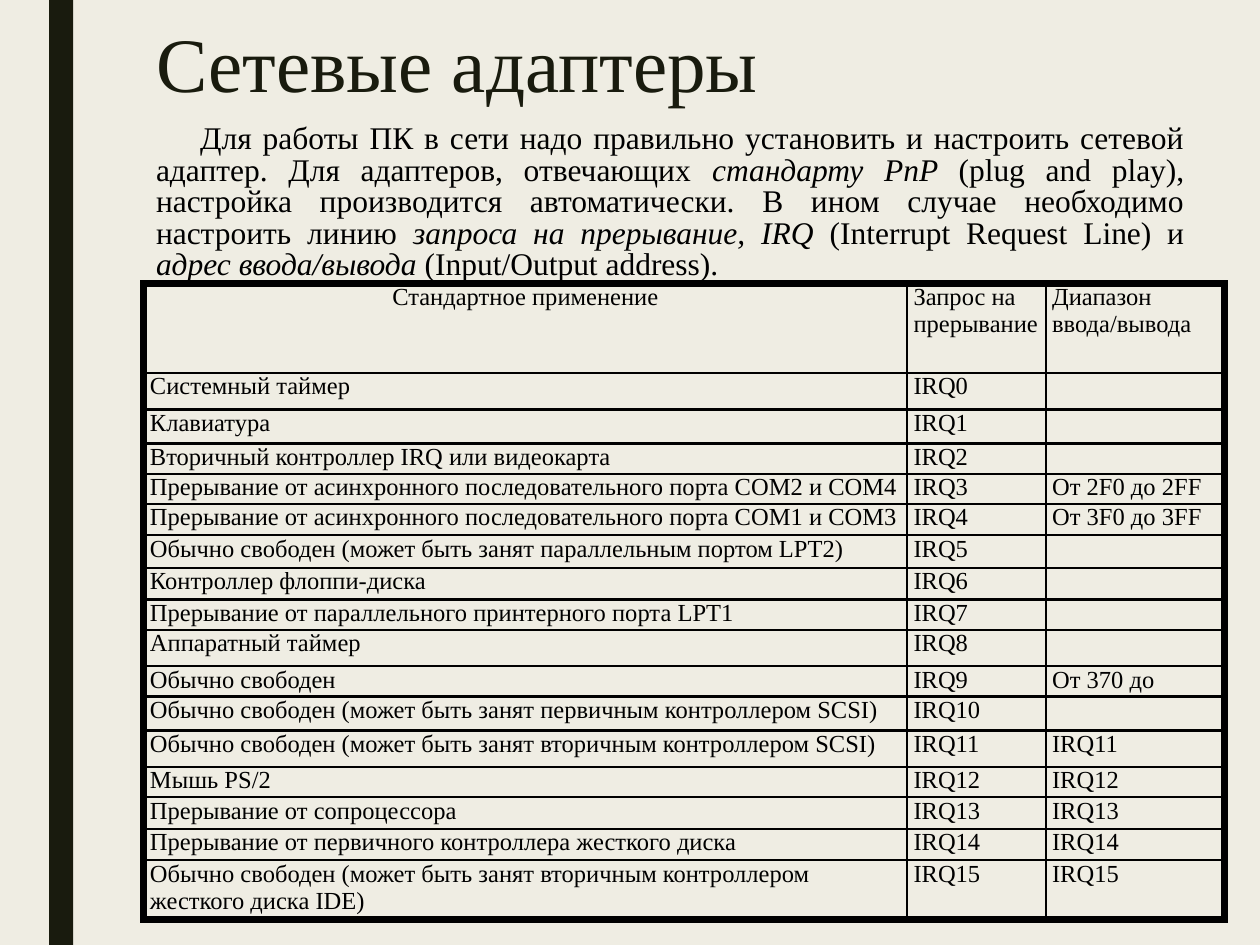
from dataclasses import dataclass

import lxml.etree
import pptx
import pptx.dml.color
import pptx.enum.shapes
import pptx.enum.text
import pptx.oxml.ns
import pptx.util

Inches = pptx.util.Inches
Pt = pptx.util.Pt
Align = pptx.enum.text.PP_ALIGN
Anchor = pptx.enum.text.MSO_ANCHOR


@dataclass(frozen=True)
class Theme:
    font: str = "Times New Roman"
    background: str = "EFEDE3"
    dark: str = "191B0E"
    black: str = "000000"
    title_size: float = 44
    body_size: float = 18
    table_size: float = 14
    outer_border: float = 4.5
    inner_border: float = 1.5


@dataclass(frozen=True)
class Phrase:
    text: str
    italic: bool = False


@dataclass(frozen=True)
class Interrupt:
    usage: str
    height: float
    address: str = ""


THEME = Theme()

INTRODUCTION = [
    Phrase("Для работы ПК в сети надо правильно установить и настроить сетевой адаптер. "
           "Для адаптеров, отвечающих "),
    Phrase("стандарту PnP ", True),
    Phrase("(plug and play), настройка производится автоматически. "
           "В ином случае необходимо настроить линию "),
    Phrase("запроса на прерывание, IRQ", True),
    Phrase(" (Interrupt Request Line) и "),
    Phrase("адрес ввода/вывода", True),
    Phrase(" (Input/Output address). "),
]

HEADER = ["Стандартное применение", "Запрос на прерывание", "Диапазон \vввода/вывода"]
HEADER_HEIGHT = 0.71
COLUMN_WIDTHS = [6.06, 1.1, 1.42]

INTERRUPTS = [
    Interrupt("Системный таймер", 0.29),
    Interrupt("Клавиатура", 0.27),
    Interrupt("Вторичный контроллер IRQ или видеокарта", 0.24),
    Interrupt("Прерывание от асинхронного последовательного порта СОМ2 и СОМ4", 0.24, "От 2F0 до 2FF"),
    Interrupt("Прерывание от асинхронного последовательного порта СОМ1 и СОМ3", 0.25, "От 3F0 до 3FF"),
    Interrupt("Обычно свободен (может быть занят параллельным портом LPT2)", 0.26),
    Interrupt("Контроллер флоппи-диска", 0.25),
    Interrupt("Прерывание от параллельного принтерного порта LPT1", 0.24),
    Interrupt("Аппаратный таймер", 0.29),
    Interrupt("Обычно свободен", 0.24, "От 370 до"),
    Interrupt("Обычно свободен (может быть занят первичным контроллером SCSI)", 0.27),
    Interrupt("Обычно свободен (может быть занят вторичным контроллером SCSI)", 0.29, "IRQ11"),
    Interrupt("Мышь PS/2", 0.24, "IRQ12"),
    Interrupt("Прерывание от сопроцессора", 0.25, "IRQ13"),
    Interrupt("Прерывание от первичного контроллера жесткого диска", 0.25, "IRQ14"),
    Interrupt("Обычно свободен (может быть занят вторичным контроллером жесткого диска IDE)", 0.47, "IRQ15"),
]


def color(value: str) -> pptx.dml.color.RGBColor:
    return pptx.dml.color.RGBColor.from_string(value)


def format_run(run, size: float, value: str, italic: bool = False) -> None:
    run.font.name = THEME.font
    run.font.size = Pt(size)
    run.font.color.rgb = color(value)
    run.font.italic = italic


def add_side_bar(slide) -> None:
    bar = slide.shapes.add_shape(pptx.enum.shapes.MSO_SHAPE.RECTANGLE,
                                 Inches(0.39), 0, Inches(0.19), Inches(7.5))
    bar.shadow.inherit = False
    bar.fill.solid()
    bar.fill.fore_color.rgb = color(THEME.dark)
    bar.line.fill.background()


def set_title(slide, text: str) -> None:
    title = slide.shapes.title
    title.left, title.top = Inches(1.14), Inches(0.13)
    title.width, title.height = Inches(8.36), Inches(0.81)
    text_frame = title.text_frame
    text_frame.text = text
    text_frame.vertical_anchor = Anchor.MIDDLE
    text_frame.auto_size = pptx.enum.text.MSO_AUTO_SIZE.NONE
    paragraph = text_frame.paragraphs[0]
    paragraph.alignment = Align.LEFT
    paragraph.line_spacing = 0.89
    format_run(paragraph.runs[0], THEME.title_size, THEME.dark)


def add_introduction(slide, phrases: list[Phrase]) -> None:
    box = slide.shapes.add_textbox(Inches(1.14), Inches(0.94), Inches(8.36), Inches(1.36))
    text_frame = box.text_frame
    text_frame.word_wrap = True
    text_frame.auto_size = pptx.enum.text.MSO_AUTO_SIZE.SHAPE_TO_FIT_TEXT
    paragraph = text_frame.paragraphs[0]
    paragraph.alignment = Align.JUSTIFY
    paragraph.line_spacing = Pt(18)
    properties = paragraph._p.get_or_add_pPr()
    properties.set("marL", "0")
    properties.set("indent", str(Inches(0.35)))
    for phrase in phrases:
        run = paragraph.add_run()
        run.text = phrase.text
        format_run(run, THEME.body_size, THEME.black, phrase.italic)


def set_border(cell, side: str, width: float) -> None:
    qn = pptx.oxml.ns.qn
    line = lxml.etree.SubElement(cell._tc.get_or_add_tcPr(), qn(f"a:ln{side}"), w=str(Pt(width)))
    fill = lxml.etree.SubElement(line, qn("a:solidFill"))
    lxml.etree.SubElement(fill, qn("a:srgbClr"), val=THEME.black)


def fill_cell(cell, text: str, alignment: Align) -> None:
    cell.margin_left = cell.margin_right = Inches(0.05)
    cell.margin_top = cell.margin_bottom = 0
    cell.text_frame.text = text
    paragraph = cell.text_frame.paragraphs[0]
    paragraph.alignment = alignment
    paragraph.space_before = Pt(3)
    for run in paragraph.runs:
        format_run(run, THEME.table_size, THEME.black)
    if not text:
        lxml.etree.SubElement(paragraph._p, pptx.oxml.ns.qn("a:endParaRPr"),
                              sz=str(int(THEME.table_size * 100)))


def add_interrupt_table(slide) -> None:
    rows = [HEADER] + [[interrupt.usage, f"IRQ{number}", interrupt.address]
                       for number, interrupt in enumerate(INTERRUPTS)]
    heights = [HEADER_HEIGHT] + [interrupt.height for interrupt in INTERRUPTS]
    frame = slide.shapes.add_table(len(rows), len(HEADER), Inches(1.14), Inches(2.25),
                                   Inches(sum(COLUMN_WIDTHS)), Inches(sum(heights)))
    table = frame.table
    table.first_row = table.horz_banding = False
    for column, width in zip(table.columns, COLUMN_WIDTHS):
        column.width = Inches(width)
    for row, height in zip(table.rows, heights):
        row.height = Inches(height)
    last_row, last_column = len(rows) - 1, len(HEADER) - 1
    for row_index, texts in enumerate(rows):
        for column_index, text in enumerate(texts):
            cell = table.cell(row_index, column_index)
            centered = row_index == 0 and column_index == 0
            fill_cell(cell, text, Align.CENTER if centered else Align.LEFT)
            outer_sides = {"L": column_index == 0, "R": column_index == last_column,
                           "T": row_index == 0, "B": row_index == last_row}
            for side, is_outer in outer_sides.items():
                set_border(cell, side, THEME.outer_border if is_outer else THEME.inner_border)
            cell.fill.background()


def main() -> None:
    presentation = pptx.Presentation()
    presentation.slide_width, presentation.slide_height = Inches(10), Inches(7.5)
    slide = presentation.slides.add_slide(presentation.slide_layouts[5])
    slide.background.fill.solid()
    slide.background.fill.fore_color.rgb = color(THEME.background)
    add_side_bar(slide)
    set_title(slide, "Сетевые адаптеры")
    add_introduction(slide, INTRODUCTION)
    add_interrupt_table(slide)
    presentation.save("out.pptx")


if __name__ == "__main__":
    main()
